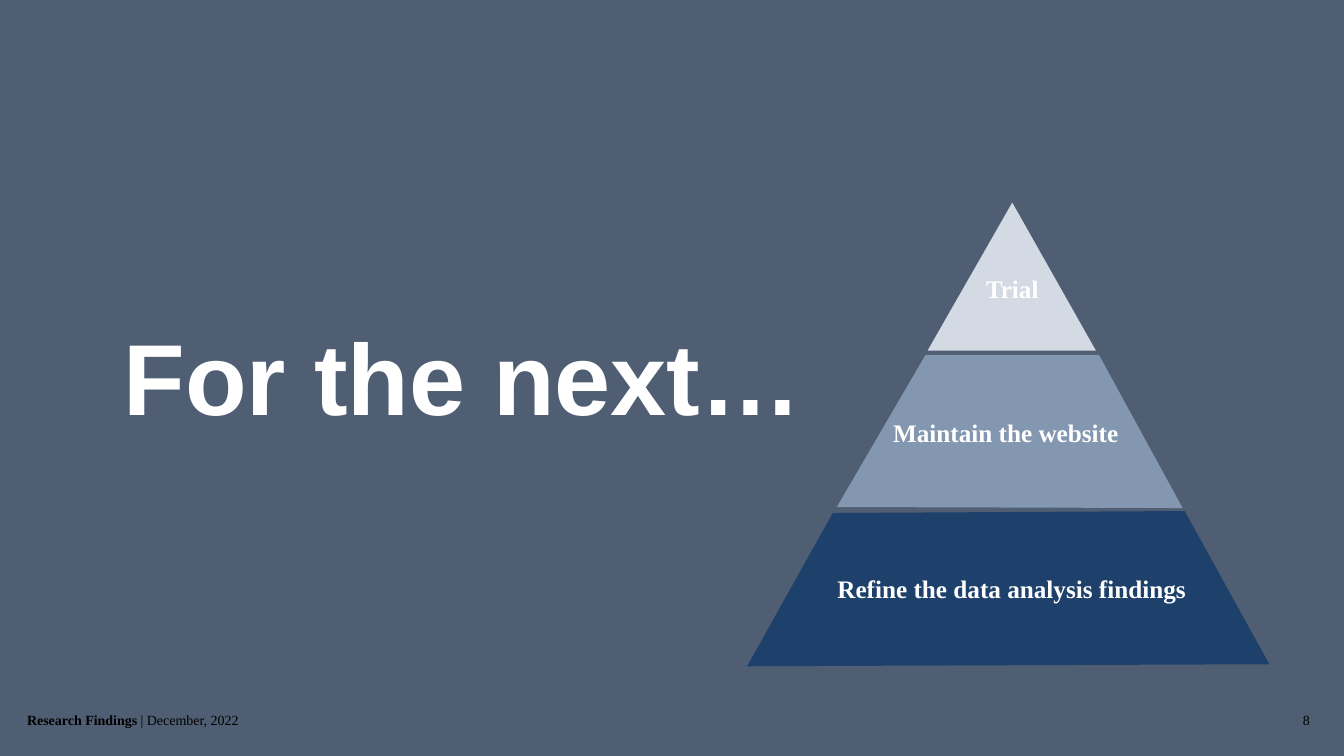
from dataclasses import dataclass

from pptx import Presentation
from pptx.dml.color import RGBColor
from pptx.enum.text import MSO_AUTO_SIZE, PP_ALIGN
from pptx.util import Inches, Pt

LEFT, CENTER, RIGHT = PP_ALIGN.LEFT, PP_ALIGN.CENTER, PP_ALIGN.RIGHT
FIT_SHAPE = MSO_AUTO_SIZE.SHAPE_TO_FIT_TEXT
SERIF = "Times New Roman"
WHITE, BLACK = "FFFFFF", "000000"


@dataclass
class Tier:
    label: str
    box: tuple[float, float, float, float]
    corners: list[tuple[float, float]]
    fill: str


TIERS = [
    Tier("Trial", (7.5, 2.66, 5.08, 0.4),
         [(9.2, 3.48), (10.04, 2.01), (10.87, 3.48)], "D4DAE3"),
    Tier("Maintain the website", (6.64, 4.09, 6.67, 0.4),
         [(8.3, 5.03), (9.18, 3.52), (10.9, 3.52), (11.73, 5.04)], "8497B0"),
    Tier("Refine the data analysis findings", (6.7, 5.64, 6.67, 0.4),
         [(7.41, 6.61), (8.26, 5.09), (11.75, 5.07), (12.59, 6.59)], "1E416C"),
]


def rgb(color: str) -> RGBColor:
    return RGBColor.from_string(color)


def add_run(p, text: str, *, size: float, color: str, font: str = SERIF,
            bold: bool = False) -> None:
    r = p.add_run()
    r.text = text
    r.font.name, r.font.size, r.font.bold = font, Pt(size), bold
    r.font.color.rgb = rgb(color)


def add_text(s, text: str, box: tuple[float, float, float, float], *,
             align=LEFT, **run_format):
    tf = s.shapes.add_textbox(*map(Inches, box)).text_frame
    tf.word_wrap = True
    tf.auto_size = FIT_SHAPE
    p = tf.paragraphs[0]
    p.alignment = align
    add_run(p, text, **run_format)
    return p


def add_tier(s, tier: Tier) -> None:
    points = [(Inches(x), Inches(y)) for x, y in tier.corners]
    builder = s.shapes.build_freeform(*points[0])
    builder.add_line_segments(points[1:], close=True)
    sp = builder.convert_to_shape()
    sp.shadow.inherit = False
    sp.fill.solid()
    sp.fill.fore_color.rgb = rgb(tier.fill)
    sp.line.fill.background()


def main() -> None:
    prs = Presentation()
    prs.slide_width, prs.slide_height = Inches(13.33), Inches(7.5)
    s = prs.slides.add_slide(prs.slide_layouts[6])
    s.background.fill.solid()
    s.background.fill.fore_color.rgb = rgb("4F5E73")

    # Title
    add_text(s, "For the next…", (1.13, 3.07, 11.88, 1.31),
             size=72, color=WHITE, font="Arial", bold=True)

    # Footer
    p = add_text(s, "Research Findings", (0.17, 7.01, 4.44, 0.27),
                 size=10, color=BLACK, bold=True)
    add_run(p, " | December, 2022", size=10, color=BLACK)
    add_text(s, "8", (8.65, 7.01, 4.44, 0.27), align=RIGHT,
             size=10, color=BLACK)

    # Pyramid
    for tier in TIERS:
        add_tier(s, tier)
        add_text(s, tier.label, tier.box, align=CENTER,
                 size=18, color=WHITE, bold=True)

    prs.save("out.pptx")


if __name__ == "__main__":
    main()
